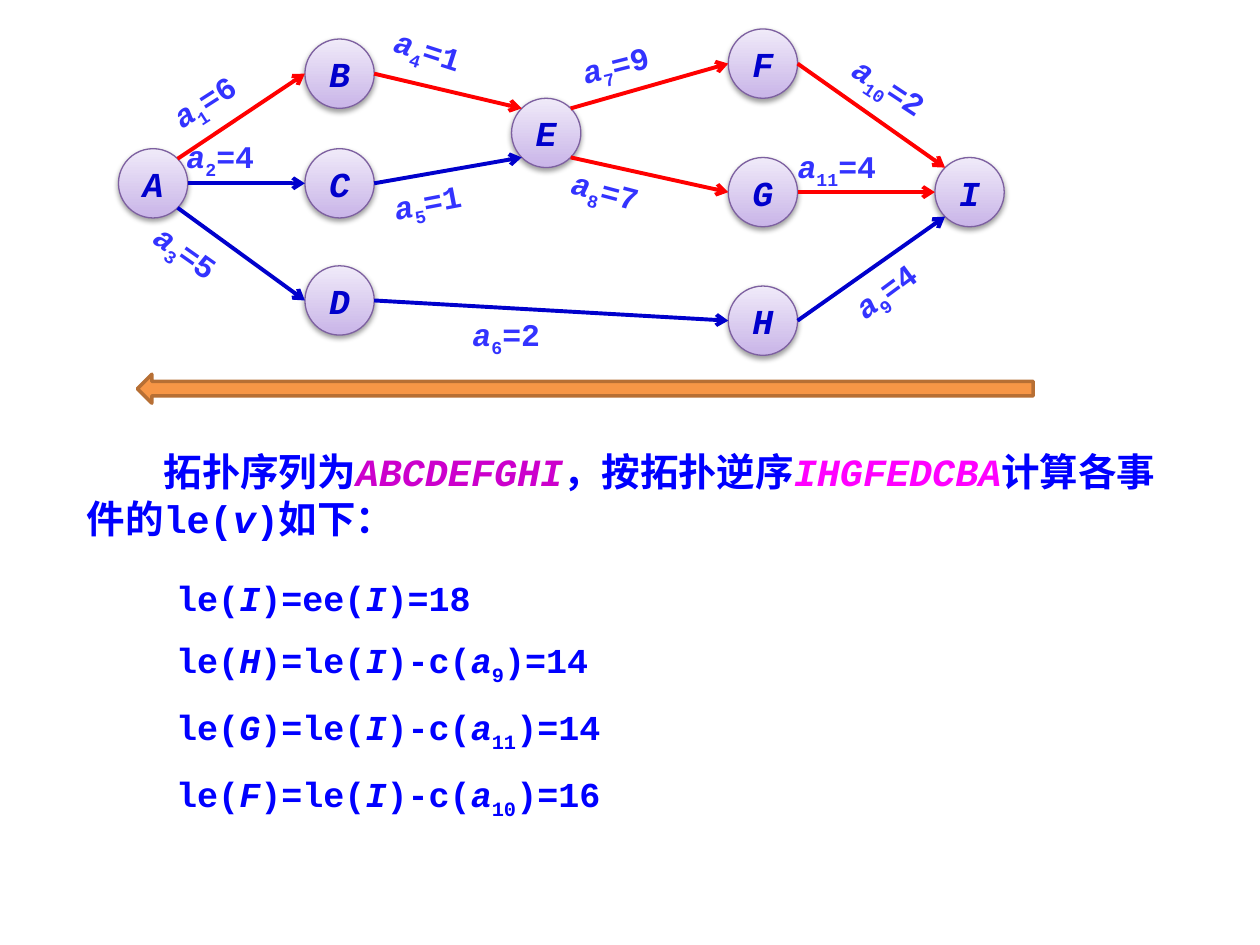
from math import sqrt

from lxml.etree import SubElement
from pptx import Presentation
from pptx.dml.color import RGBColor
from pptx.enum.shapes import MSO_CONNECTOR, MSO_SHAPE
from pptx.enum.text import MSO_ANCHOR, PP_ALIGN
from pptx.oxml.ns import qn
from pptx.util import Inches, Pt

RED = RGBColor(0xFF, 0x00, 0x00)
NAVY = RGBColor(0x00, 0x00, 0xCC)
BLUE = RGBColor(0x00, 0x00, 0xFF)
LABEL_BLUE = RGBColor(0x33, 0x33, 0xFF)
PURPLE = RGBColor(0xCC, 0x00, 0xCC)
MAGENTA = RGBColor(0xFF, 0x00, 0xFF)
LILAC = RGBColor(0xC9, 0xB5, 0xE8)
PALE_LILAC = RGBColor(0xF0, 0xEA, 0xF9)
VIOLET = RGBColor(0x7D, 0x60, 0xA0)
ORANGE = RGBColor(0xF7, 0x96, 0x46)
BROWN = RGBColor(0xB7, 0x6F, 0x34)

deck = Presentation()
deck.slide_width, deck.slide_height = Inches(10), Inches(7.5)
slide = deck.slides.add_slide(deck.slide_layouts[6])
shapes = slide.shapes
UNIT = deck.slide_width / 100  # every length below is a percentage of the slide width


def grid(*lengths):
    return [round(length * UNIT) for length in lengths]


def add_runs(paragraph, parts, size, color):
    """Append (text, style[, color]) parts; a style is "", "italic" or "sub"."""
    for text, style, *own_color in parts:
        run = paragraph.add_run()
        run.text = text
        run.font.name = "Courier New"
        run.font.size = Pt(size)
        run.font.bold = True
        run.font.italic = style == "italic"
        run.font.color.rgb = own_color[0] if own_color else color
        if style == "sub":
            run._r.get_or_add_rPr().set("baseline", "-25000")


# Events: centre of each circle
RADIUS = 2.75
COLUMNS = [12.15, 26.95, 43.35, 60.55, 76.95]
events = {
    "A": (COLUMNS[0], 14.55),
    "B": (COLUMNS[1], 5.85),
    "C": (COLUMNS[1], 14.55),
    "D": (COLUMNS[1], 23.85),
    "E": (COLUMNS[2], 10.55),
    "F": (COLUMNS[3], 5.05),
    "G": (COLUMNS[3], 15.25),
    "H": (COLUMNS[3], 25.45),
    "I": (COLUMNS[4], 15.25),
}
for name, (x, y) in events.items():
    circle = shapes.add_shape(
        MSO_SHAPE.OVAL, *grid(x - RADIUS, y - RADIUS, 2 * RADIUS, 2 * RADIUS))
    circle.fill.gradient()
    circle.fill.gradient_angle = 90
    for stop, color in zip(circle.fill.gradient_stops, (LILAC, PALE_LILAC)):
        stop.color.rgb = color
    circle.line.color.rgb = VIOLET
    circle.line.width = Pt(0.75)
    circle.shadow.inherit = False
    effects = circle._element.spPr.find(qn("a:effectLst"))
    shadow = SubElement(effects, qn("a:outerShdw"), blurRad=str(Pt(3.1)),
                        dist=str(Pt(1.6)), dir="5400000", rotWithShape="0")
    black = SubElement(shadow, qn("a:srgbClr"), val="000000")
    SubElement(black, qn("a:alpha"), val="38000")
    circle.text_frame.vertical_anchor = MSO_ANCHOR.MIDDLE
    letter = circle.text_frame.paragraphs[0]
    letter.alignment = PP_ALIGN.CENTER
    add_runs(letter, [(name, "italic")], 20, NAVY)

# Activities: from, to, start and end point on the circles, colour, weight,
# then left, top and rotation of the label
DIAGONAL = 1 / sqrt(2)
LEFT, RIGHT = (-1, 0), (1, 0)
UPPER_LEFT, LOWER_LEFT = (-DIAGONAL, -DIAGONAL), (-DIAGONAL, DIAGONAL)
UPPER_RIGHT, LOWER_RIGHT = (DIAGONAL, -DIAGONAL), (DIAGONAL, DIAGONAL)
activities = [
    ("A", "B", UPPER_RIGHT, LEFT, RED, 6, 13.2, 5.4, -32.7),
    ("A", "C", RIGHT, LEFT, NAVY, 4, 14.8, 10.9, 0),
    ("A", "D", LOWER_RIGHT, LEFT, NAVY, 5, 11.7, 19.6, 35.2),
    ("B", "E", RIGHT, UPPER_LEFT, RED, 1, 31.2, 3.1, 17.8),
    ("C", "E", RIGHT, LOWER_LEFT, NAVY, 1, 31.2, 14.1, -10.8),
    ("D", "H", RIGHT, LEFT, NAVY, 2, 37.5, 25, 0),
    ("E", "F", UPPER_RIGHT, LEFT, RED, 9, 46.1, 3.1, -14),
    ("E", "G", LOWER_RIGHT, LEFT, RED, 7, 45.3, 14.1, 14.7),
    ("H", "I", RIGHT, LOWER_LEFT, NAVY, 4, 67.2, 20.3, -36.6),
    ("F", "I", RIGHT, UPPER_LEFT, RED, 2, 67.2, 6.2, 33.4),
    ("G", "I", RIGHT, LEFT, RED, 4, 63.3, 11.7, 0),
]
for number, activity in enumerate(activities, start=1):
    source, target, leave, enter, color, weight, left, top, rotation = activity
    start, end = (
        [centre + RADIUS * shift for centre, shift in zip(events[event], side)]
        for event, side in ((source, leave), (target, enter)))
    arrow = shapes.add_connector(MSO_CONNECTOR.STRAIGHT, *grid(*start, *end))
    arrow.line.color.rgb = color
    arrow.line.width = Pt(2.25)
    SubElement(arrow.line._get_or_add_ln(), qn("a:tailEnd"), type="arrow")
    SubElement(arrow._element.spPr, qn("a:effectLst"))

    label = shapes.add_textbox(*grid(left, top, 9.4, 3.1))
    label.rotation = rotation
    frame = label.text_frame
    frame.word_wrap = True
    frame.margin_left = frame.margin_right = frame.margin_top = frame.margin_bottom = 0
    add_runs(frame.paragraphs[0],
             [("a", "italic"), (str(number), "sub"), (f"={weight}", "")], 18, LABEL_BLUE)

backward = shapes.add_shape(MSO_SHAPE.LEFT_ARROW, *grid(10.9, 29.7, 71.1, 2.3))
backward.fill.solid()
backward.fill.fore_color.rgb = ORANGE
backward.line.color.rgb = BROWN
backward.line.width = Pt(2)
backward.shadow.inherit = False

# Explanation
intro = shapes.add_textbox(*grid(5.9, 35.1, 88.2, 8.4)).text_frame
intro.word_wrap = True
add_runs(intro.paragraphs[0], [
    ("\u3000\u3000拓扑序列为".replace("\u3000", "　"), ""),
    ("ABCDEFGHI", "italic", PURPLE),
    ("，按拓扑逆序", ""),
    ("IHGFEDCBA", "italic", MAGENTA),
    ("计算各事件的le(", ""),
    ("v", "italic"),
    (")如下：", ""),
], 22, BLUE)

# Latest times, in reverse topological order
latest = shapes.add_textbox(*grid(13, 45.3, 58.3, 19.5)).text_frame
latest.word_wrap = True
add_runs(latest.paragraphs[0], [
    ("le(", ""), ("I", "italic"), (")=ee(", ""), ("I", "italic"), (")=18", "")], 20, BLUE)
for event, activity, time in (("H", 9, 14), ("G", 11, 14), ("F", 10, 16)):
    equation = latest.add_paragraph()
    equation.space_before = Pt(11)
    add_runs(equation, [
        ("le(", ""), (event, "italic"), (")=le(", ""), ("I", "italic"), (")-c(", ""),
        ("a", "italic"), (str(activity), "sub"), (f")={time}", "")], 20, BLUE)
for equation in latest.paragraphs:
    equation.alignment = PP_ALIGN.JUSTIFY

deck.save("out.pptx")
